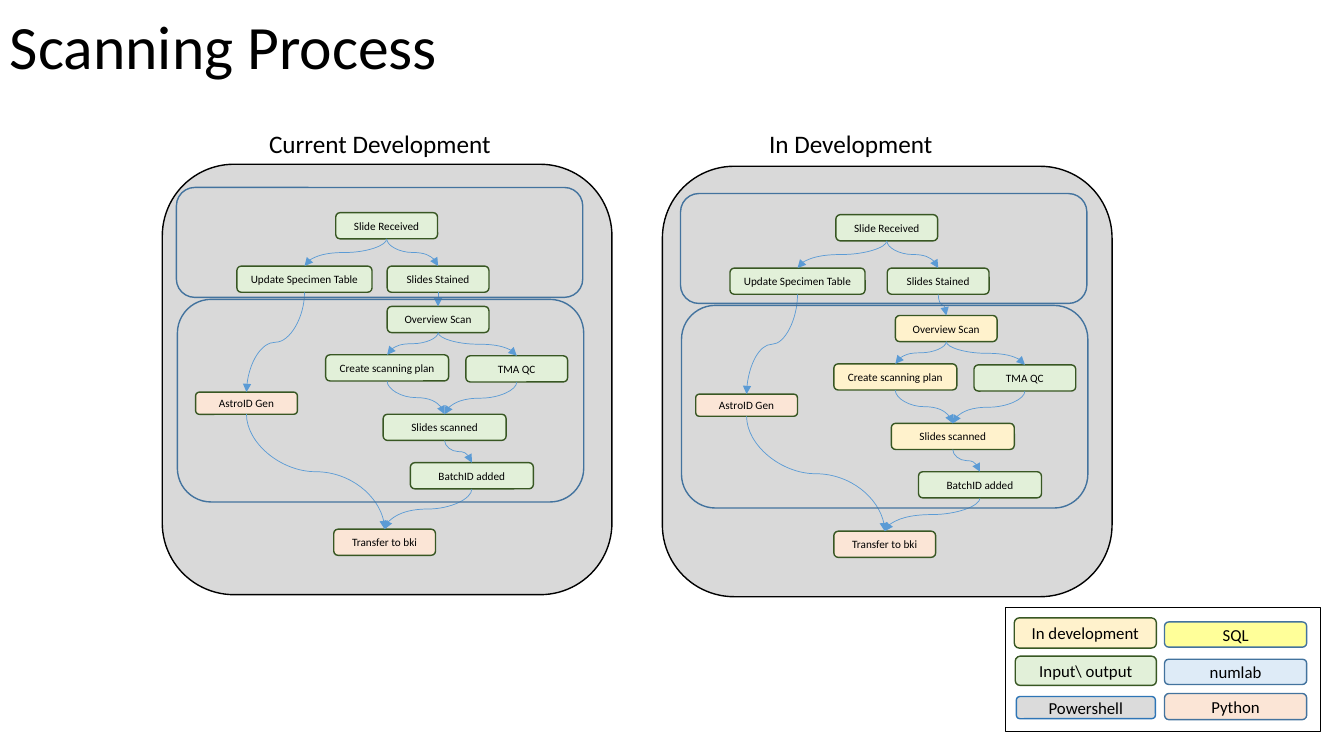
from pptx import Presentation
from pptx.util import Inches, Pt
from pptx.dml.color import RGBColor
from pptx.enum.shapes import MSO_SHAPE as SHAPE, MSO_CONNECTOR as CONN
from pptx.enum.text import MSO_ANCHOR as ANCHOR, PP_ALIGN as ALIGN
from pptx.oxml.ns import qn
from lxml.etree import SubElement

COLORS = {
    "black": "000000", "white": "FFFFFF", "panel": "D9D9D9", "powershell": "DBDBDB",
    "io": "E2F0D9", "dev": "FFF2CC", "python": "FBE5D6", "numlab": "DEEBF7",
    "sql": "FFFF99", "green": "385723", "blue": "43739E", "bright": "2E75B6",
    "arrow": "5B9BD5",
}
FONT = "Calibri"

# Step: (left, top, width, height, fill), placed as in the first panel
STEPS = {
    "Update Specimen Table": (2.35, 2.64, 1.34, 0.26, "io"),
    "AstroID Gen": (1.94, 3.89, 1.01, 0.22, "python"),
    "Transfer to bki": (3.31, 5.25, 1.01, 0.26, "python"),
    "Overview Scan": (3.84, 3.04, 1.01, 0.26, "io"),
    "Slide Received": (3.33, 2.11, 1.01, 0.26, "io"),
    "Slides Stained": (3.84, 2.64, 1.01, 0.26, "io"),
    "TMA QC": (4.62, 3.53, 1.01, 0.26, "io"),
    "Create scanning plan": (3.23, 3.52, 1.22, 0.26, "io"),
    "Slides scanned": (3.8, 4.11, 1.22, 0.26, "io"),
    "BatchID added": (4.07, 4.59, 1.22, 0.26, "io"),
}
FLOWS = [
    ("Slide Received", "Update Specimen Table"),
    ("Slide Received", "Slides Stained"),
    ("Update Specimen Table", "AstroID Gen"),
    ("AstroID Gen", "Transfer to bki"),
    ("Slides Stained", "Overview Scan"),
    ("Overview Scan", "TMA QC"),
    ("Overview Scan", "Create scanning plan"),
    ("Create scanning plan", "Slides scanned"),
    ("Slides scanned", "BatchID added"),
    ("BatchID added", "Transfer to bki"),
    ("TMA QC", "Slides scanned"),
]
PANEL = (1.61, 1.63, 4.46, 4.27)
PHASES = [(1.76, 2.97, 4.03, 2.01), (1.75, 1.86, 4.03, 1.09)]
SCAN_SHIFT = (5.04, 0.09)
PANELS = [
    {"title": "Current Development", "shift": (0, 0), "phase_shift": (0, 0),
     "step_shifts": {}, "in_dev": ()},
    {"title": "In Development", "shift": (4.96, 0.02), "phase_shift": (5, 0.06),
     "step_shifts": {"Update Specimen Table": (4.89, 0.02),
                     **{name: SCAN_SHIFT for name in (
                         "Overview Scan", "TMA QC", "Create scanning plan",
                         "Slides scanned", "BatchID added")}},
     "in_dev": ("Overview Scan", "Create scanning plan", "Slides scanned")},
]
LEGEND_FRAME = (9.97, 6.03, 3.13, 1.23)
LEGEND = [
    ("In development", (10.06, 6.13, 1.41, 0.3), "dev", "green"),
    ("Input\\ output", (10.07, 6.51, 1.4, 0.29), "io", "green"),
    ("numlab", (11.55, 6.54, 1.41, 0.25), "numlab", "blue"),
    ("Powershell", (10.08, 6.91, 1.38, 0.22), "powershell", "bright"),
    ("Python", (11.55, 6.88, 1.41, 0.26), "python", "blue"),
    ("SQL", (11.55, 6.17, 1.41, 0.25), "sql", "blue"),
]


def rgb(name):
    """Return the named colour."""
    return RGBColor.from_string(COLORS[name])


def moved(box, shift):
    """Return the box moved by (dx, dy)."""
    return (box[0] + shift[0], box[1] + shift[1], box[2], box[3])


def write(sp, text, size, align, anchor):
    """Put one styled paragraph into a shape."""
    tf = sp.text_frame
    tf.word_wrap = True
    tf.vertical_anchor = anchor
    p = tf.paragraphs[0]
    p.text = text
    p.alignment = align
    p.font.name, p.font.size = FONT, Pt(size)
    p.font.color.rgb = rgb("black")
    return p


def add_box(box, fill, line, text="", size=8, kind=SHAPE.ROUNDED_RECTANGLE):
    """Add an outlined box, filled and labelled when asked."""
    sp = s.shapes.add_shape(kind, *map(Inches, box))
    sp.shadow.inherit = False
    if fill:
        sp.fill.solid()
        sp.fill.fore_color.rgb = rgb(fill)
    else:
        sp.fill.background()
    sp.line.color.rgb = rgb(line)
    sp.line.width = Pt(1)
    if text:
        write(sp, text, size, ALIGN.CENTER, ANCHOR.MIDDLE)
    return sp


def add_label(box, text, size, anchor=ANCHOR.TOP):
    """Add a left-aligned text box."""
    return write(s.shapes.add_textbox(*map(Inches, box)), text, size, ALIGN.LEFT, anchor)


def add_flow(start, end):
    """Add a curved arrow from the bottom of one step to the top of another."""
    c = s.shapes.add_connector(CONN.CURVE, 0, 0, 0, 0)
    c.begin_connect(start, 2)
    c.end_connect(end, 0)
    x1, y1, x2, y2 = c.begin_x, c.begin_y, c.end_x, c.end_y
    # A quarter turn makes the curve leave and arrive vertically
    dx, dy = abs(x2 - x1), y2 - y1
    c.left, c.top = (x1 + x2 - dy) // 2, (y1 + y2 - dx) // 2
    c.width, c.height = dy, dx
    sp_pr = c._element.spPr
    xfrm = sp_pr.find(qn("a:xfrm"))
    rightward = x2 > x1
    xfrm.set("rot", str((270 if rightward else 90) * 60000))
    xfrm.set("flipH", "1" if rightward else "0")
    c.line.color.rgb = rgb("arrow")
    c.line.width = Pt(0.5)
    SubElement(c.line._get_or_add_ln(), qn("a:tailEnd"), type="triangle")
    SubElement(sp_pr, qn("a:effectLst"))


def add_panel(panel):
    """Add one process panel with its steps and arrows."""
    add_box(moved(PANEL, panel["shift"]), "panel", "black")
    steps = {}
    for name, (*box, fill) in STEPS.items():
        shift = panel["step_shifts"].get(name, panel["shift"])
        fill = "dev" if name in panel["in_dev"] else fill
        steps[name] = add_box(moved(box, shift), fill, "green", name)
    for start, end in FLOWS:
        add_flow(steps[start], steps[end])
    for phase in PHASES:
        add_box(moved(phase, panel["phase_shift"]), None, "blue")
    add_label((2.57 + panel["shift"][0], 1.22, 3, 0.4), panel["title"], 18)


prs = Presentation()
prs.slide_width, prs.slide_height = Inches(13.33), Inches(7.5)
s = prs.slides.add_slide(prs.slide_layouts[6])

title = add_label((0, 0.01, 7.67, 0.97), "Scanning Process", 44, ANCHOR.MIDDLE)
title.line_spacing = 0.9
for panel in PANELS:
    add_panel(panel)
add_box(LEGEND_FRAME, "white", "black", kind=SHAPE.RECTANGLE)
for text, box, fill, line in LEGEND:
    add_box(box, fill, line, text, 12)

prs.save("out.pptx")
